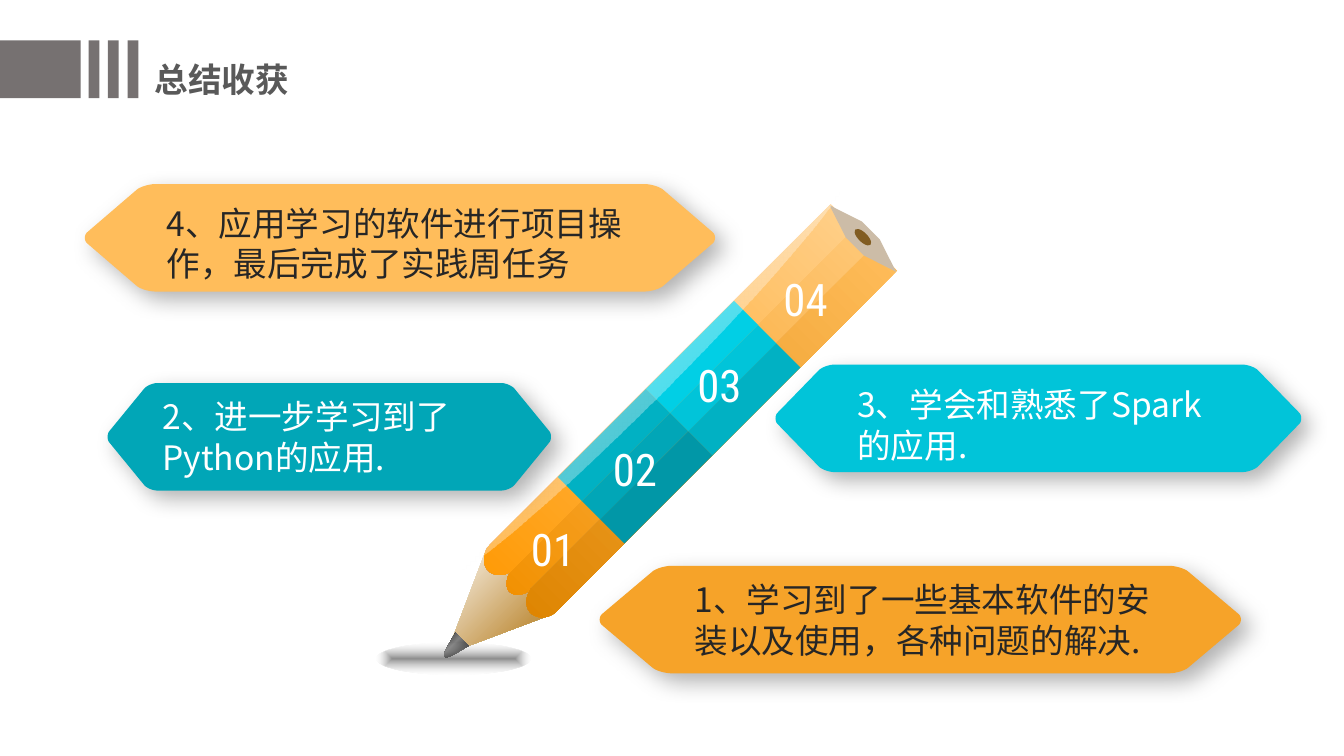
"""Build a summary slide with a four-part pencil and four callouts."""
from math import cos, radians, sin

from pptx import Presentation
from pptx.dml.color import RGBColor
from pptx.enum.shapes import MSO_SHAPE
from pptx.enum.text import MSO_ANCHOR, MSO_AUTO_SIZE, PP_ALIGN
from pptx.oxml import parse_xml
from pptx.oxml.ns import nsdecls
from pptx.util import Pt

RECTANGLE, HEXAGON, OVAL = MSO_SHAPE.RECTANGLE, MSO_SHAPE.HEXAGON, MSO_SHAPE.OVAL
TOP, NO_FIT = MSO_ANCHOR.TOP, MSO_AUTO_SIZE.NONE
LEFT, CENTER = PP_ALIGN.LEFT, PP_ALIGN.CENTER
CHINESE_FONT, NUMBER_FONT = "Noto Sans CJK SC", "Roboto Condensed"
COLORS = {
    "bar": "767171", "title": "595959", "dark": "262626", "white": "FFFFFF",
    "apricot": "FFBD5B", "orange": "F6A329", "teal": "01A6B7", "cyan": "01C4D9",
    "wood": "CCBCA7", "core": "815C21",
}
LINEAR = '<a:lin ang="{}" scaled="0"/>'
RADIAL = '<a:path path="shape"><a:fillToRect l="50000" t="50000" r="50000" b="50000"/></a:path>'
SHADOW = ('<a:outerShdw {} blurRad="152400" dist="76200" dir="2700000" algn="tl" rotWithShape="0">'
          '<a:srgbClr val="000000"><a:alpha val="30000"/></a:srgbClr></a:outerShdw>')
PENCIL_ORIGIN = (445, 109.4)


def add_outline(steps, origin, angle):
    """Add a closed outline; a step is a point or three Bezier points, turned about the origin."""
    points = [steps[0]]
    for step in steps[1:]:
        if len(step) == 2:
            points.append(step)
            continue
        curve = points[-1] + step
        for t in (i / 12 for i in range(1, 13)):
            weights = ((1 - t) ** 3, 3 * t * (1 - t) ** 2, 3 * t * t * (1 - t), t ** 3)
            points.append(tuple(sum(w * v for w, v in zip(weights, curve[axis::2])) for axis in (0, 1)))
    builder = shapes.build_freeform(Pt(points[0][0]), Pt(points[0][1]))
    builder.add_line_segments([(Pt(x), Pt(y)) for x, y in points[1:]], close=True)
    shape = builder.convert_to_shape()
    x, y = shape.left + shape.width / 2, shape.top + shape.height / 2
    cosine, sine = cos(radians(angle)), sin(radians(angle))
    shape.left = int(Pt(origin[0]) + x * cosine - y * sine - shape.width / 2)
    shape.top = int(Pt(origin[1]) + x * sine + y * cosine - shape.height / 2)
    shape.rotation = angle
    return shape


def paint(shape, fill, direction=LINEAR.format(0)):
    """Give a shape a solid colour or gradient stops of position, colour and opacity."""
    shape.shadow.inherit = False
    shape.line.fill.background()
    if isinstance(fill, str):
        shape.fill.solid()
        shape.fill.fore_color.rgb = RGBColor.from_string(fill)
        return
    stops = "".join(
        f'<a:gs pos="{position * 1000}"><a:srgbClr val="{color}">'
        f'<a:alpha val="{opacity * 1000}"/></a:srgbClr></a:gs>'
        for position, color, opacity in fill)
    geometry = shape._element.spPr[1]
    geometry.addnext(parse_xml(
        f'<a:gradFill {nsdecls("a")} rotWithShape="1"><a:gsLst>{stops}</a:gsLst>{direction}</a:gradFill>'))


presentation = Presentation()
presentation.slide_width, presentation.slide_height = Pt(720), Pt(405)
slide = presentation.slides.add_slide(presentation.slide_layouts[5])
shapes = slide.shapes

title = shapes.title
title.left, title.top, title.width, title.height = Pt(75.6), Pt(21.6), Pt(149), Pt(35.3)
texts = [(title, "总结收获", 18, CHINESE_FONT, "title", LEFT)]

for left, width in ((-0.7, 43.9), (47.5, 5.8), (57.8, 5.8), (68.4, 5.8)):
    bar = shapes.add_shape(RECTANGLE, Pt(left), Pt(21.6), Pt(width), Pt(31))
    paint(bar, COLORS["bar"])

wood_tip = add_outline([(0, 237), (50, 237), (50, 260.6), (25, 316), (0, 260.6)], PENCIL_ORIGIN, 45)
paint(wood_tip, [(0, "E9D1A9", 100), (32, "ECDCC2", 100), (65, "C39549", 100), (100, "815C21", 100)])

edges = (0, 18.3, 32.1, 50.4)
strips = list(zip(edges, edges[1:]))
strip_gradients = (("FFD08B", "FF9A05"), ("FFC979", "F29000"), ("FFBD5B", "DE8400"))
for (near, far), (start, end), shoulder in zip(strips, strip_gradients, (257.6, 260.7, 257.6)):
    middle, bend = (near + far) / 2, (far - near) / 4
    strip = add_outline([
        (0, -near), (0, -far), (shoulder, -far),
        (264, -far, 268.5, -middle - bend, 268.5, -middle),
        (268.5, -middle + bend, 264, -near, shoulder, -near)], PENCIL_ORIGIN, 135)
    paint(strip, [(0, start, 100), (100, end, 100)])

lead = add_outline([(20.2, 304.4), (30.2, 304.4), (27.5, 314.5),
                    (25.8, 318.6, 24.6, 318.6, 22.9, 314.5)], PENCIL_ORIGIN, 45)
paint(lead, [(0, "0D0D0D", 100), (15, "404040", 100), (44, "808080", 100), (100, "000000", 100)])

pencil_end = shapes.add_shape(HEXAGON, Pt(437), Pt(121.7), Pt(50.4), Pt(12.2))
pencil_end.adjustments[0] = 1.517
core = shapes.add_shape(OVAL, Pt(456.5), Pt(124.6), Pt(11.5), Pt(5))
for shape, color in ((pencil_end, "wood"), (core, "core")):
    shape.rotation = 45
    paint(shape, COLORS[color])

segment_colors = (("01CFE5", "01C4D9", "01B1C3"), ("01B1C3", "01A6B7", "0197A7"))
for row, colors in enumerate(segment_colors):
    start, end = 73.3 + 66.7 * row, 140 + 66.7 * row
    for (near, far), color in zip(strips, colors):
        segment = add_outline([(start, -near), (start, -far), (end, -far), (end, -near)], PENCIL_ORIGIN, 135)
        paint(segment, color)

highlight = add_outline([
    (135, -7.6), (198, -7.6, 252, -4.6, 275.4, 0.5), (278, 1), (-8, 1), (-5.6, 0.5),
    (17.3, -4, 71.8, -7.6, 135, -7.6)], PENCIL_ORIGIN, 135)
paint(highlight, [(0, "FFFFFF", 7), (100, "FFFFFF", 60)], LINEAR.format(5400000))

ground_shadow = shapes.add_shape(OVAL, Pt(201.6), Pt(344.2), Pt(82.8), Pt(17.3))
paint(ground_shadow, [(0, "404040", 59), (44, "8D8D8D", 37), (100, "D9D9D9", 0)], RADIAL)

numbers = (("01", 275.8, 275.8), ("02", 319.7, 233.3), ("03", 365, 187.9), ("04", 411.1, 141.8))
for number, left, top in numbers:
    box = shapes.add_textbox(Pt(left), Pt(top), Pt(41), Pt(36))
    texts.append((box, number, 24, NUMBER_FONT, "white", CENTER))

callouts = (
    (45.4, 98.6, 337.7, "apricot", 82.1, 105.1, 263.5, "dark", "4、应用学习的软件进行项目操作，最后完成了实践周任务"),
    (57.6, 205.2, 237.6, "teal", 79.9, 208.8, 193, "white", "2、进一步学习到了Python的应用."),
    (415.4, 195.3, 281.7, "cyan", 452.2, 202.3, 200.9, "white", "3、学会和熟悉了Spark的应用."),
    (321.2, 303.1, 343.6, "orange", 365, 306.7, 265.7, "dark", "1、学习到了一些基本软件的安装以及使用，各种问题的解决."),
)
for left, top, width, fill, text_left, text_top, text_width, color, text in callouts:
    x, y = width / 2, 28.8
    flat, corner, tip = x * 0.775, x * 0.834, x * 0.993
    banner = add_outline([
        (-flat, -y), (flat, -y), (x * 0.796, -y, x * 0.823, -y * 0.95, corner, -y * 0.9),
        (tip, -y * 0.1), (x * 1.002, -y * 0.05, x * 1.002, y * 0.05, tip, y * 0.1),
        (corner, y * 0.9), (x * 0.823, y * 0.95, x * 0.796, y, flat, y),
        (-flat, y), (-x * 0.796, y, -x * 0.823, y * 0.95, -corner, y * 0.9),
        (-tip, y * 0.1), (-x * 1.002, y * 0.05, -x * 1.002, -y * 0.05, -tip, -y * 0.1),
        (-corner, -y * 0.9), (-x * 0.823, -y * 0.95, -x * 0.796, -y, -flat, -y),
    ], (left + x, top + y), 180)
    paint(banner, COLORS[fill])
    effects = banner._element.spPr[-1]
    effects.append(parse_xml(SHADOW.format(nsdecls("a"))))
    box = shapes.add_textbox(Pt(text_left), Pt(text_top), Pt(text_width), Pt(51))
    texts.append((box, text, 18, CHINESE_FONT, color, LEFT))

for shape, text, size, font_name, color, alignment in texts:
    frame = shape.text_frame
    frame.word_wrap, frame.auto_size, frame.vertical_anchor = True, NO_FIT, TOP
    paragraph = frame.paragraphs[0]
    paragraph.alignment = alignment
    run = paragraph.add_run()
    run.text = text
    run.font.size, run.font.name = Pt(size), font_name
    run.font.color.rgb = RGBColor.from_string(COLORS[color])
    run.font._element.append(parse_xml(f'<a:ea {nsdecls("a")} typeface="{font_name}"/>'))

title.text_frame.paragraphs[0].line_spacing = 1.3
title.text_frame.paragraphs[0].runs[0].font.bold = True

presentation.save("out.pptx")
